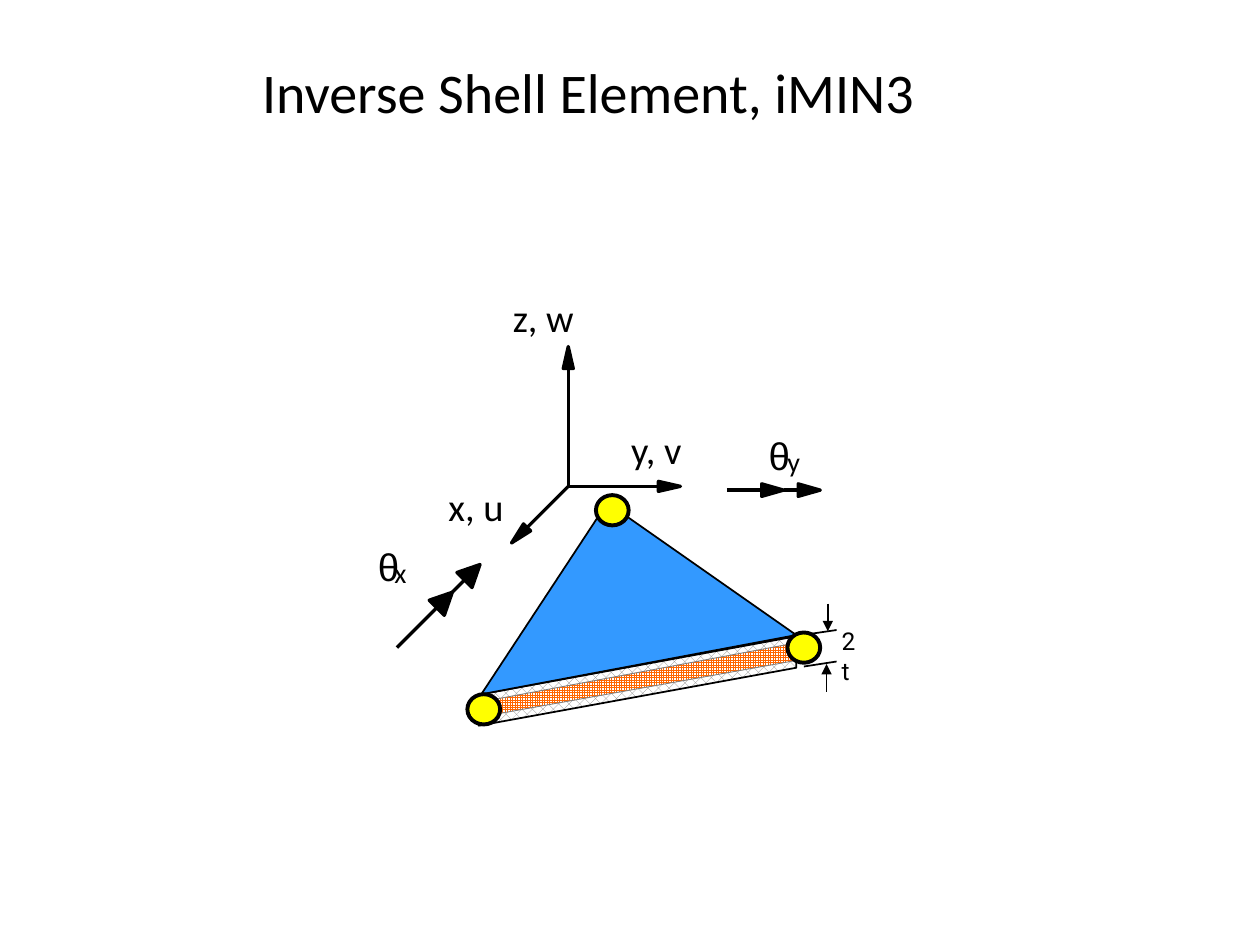
from math import hypot

from lxml import etree
from pptx import Presentation
from pptx.dml.color import RGBColor
from pptx.enum.dml import MSO_PATTERN
from pptx.enum.shapes import MSO_CONNECTOR, MSO_SHAPE
from pptx.enum.text import MSO_ANCHOR, PP_ALIGN
from pptx.oxml.ns import qn
from pptx.util import Inches, Pt

STRAIGHT = MSO_CONNECTOR.STRAIGHT
ELLIPSE = MSO_SHAPE.OVAL
PERCENT_40 = MSO_PATTERN.ERCENT_40
SMALL_GRID = MSO_PATTERN.SMALL_GRID
TOP, MIDDLE = MSO_ANCHOR.TOP, MSO_ANCHOR.MIDDLE
LEFT, CENTER = PP_ALIGN.LEFT, PP_ALIGN.CENTER

COLUMNS, ROWS = 100, 75
BLACK, WHITE, GRAY = "000000", "FFFFFF", "808080"
BLUE, ORANGE, YELLOW = "3399FF", "FF6600", "FFFF00"
THIN, AXIS, NODE = 1, 1.88, 2.25


def color(value):
    return RGBColor.from_string(value)


class Diagram:
    def __init__(self, presentation):
        self.slide = presentation.slides.add_slide(presentation.slide_layouts[6])
        self.column = presentation.slide_width / COLUMNS
        self.row = presentation.slide_height / ROWS

    def place(self, x, y):
        return round(x * self.column), round(y * self.row)

    def outline(self, shape, width, line=BLACK):
        shape.shadow.inherit = False
        shape.line.color.rgb = color(line)
        shape.line.width = Pt(width)

    def polygon(self, points, fill, width=THIN, line=BLACK, pattern=None):
        first, *others = [self.place(*point) for point in points]
        builder = self.slide.shapes.build_freeform(*first)
        builder.add_line_segments(others, close=True)
        shape = builder.convert_to_shape()
        if pattern is None:
            shape.fill.solid()
        else:
            shape.fill.patterned()
            shape.fill.pattern = pattern
            shape.fill.back_color.rgb = color(WHITE)
        shape.fill.fore_color.rgb = color(fill)
        self.outline(shape, width, line)

    def line(self, start, end, width=THIN, arrowhead=False):
        connector = self.slide.shapes.add_connector(
            STRAIGHT, *self.place(*start), *self.place(*end))
        connector.line.color.rgb = color(BLACK)
        connector.line.width = Pt(width)
        properties = connector._element.spPr
        if arrowhead:
            etree.SubElement(properties.find(qn("a:ln")), qn("a:tailEnd"), type="triangle")
        etree.SubElement(properties, qn("a:effectLst"))

    def arrow(self, start, tip, half_width=0.5):
        across, down = tip[0] - start[0], tip[1] - start[1]
        length = hypot(across, down)
        across, down = across / length, down / length
        base = tip[0] - 1.75 * across, tip[1] - 1.75 * down
        corners = [(base[0] + side * down, base[1] - side * across)
                   for side in (half_width, -half_width)]
        self.line(start, base, AXIS)
        self.polygon([tip, *corners], BLACK, AXIS)

    def node(self, x, y):
        shape = self.slide.shapes.add_shape(
            ELLIPSE, *self.place(x - 1.3, y - 1.2), *self.place(2.6, 2.4))
        shape.fill.solid()
        shape.fill.fore_color.rgb = color(YELLOW)
        self.outline(shape, NODE)

    def text(self, words, box, size, font="Calibri", align=LEFT, anchor=TOP, wrap=False):
        left, top, width, height = box
        shape = self.slide.shapes.add_textbox(
            *self.place(left, top), *self.place(width, height))
        frame = shape.text_frame
        frame.margin_left = frame.margin_right = 0
        frame.margin_top = frame.margin_bottom = 0
        frame.word_wrap = wrap
        frame.vertical_anchor = anchor
        paragraph = frame.paragraphs[0]
        paragraph.text = words
        paragraph.alignment = align
        paragraph.font.name = font
        paragraph.font.size = Pt(size)
        paragraph.font.color.rgb = color(BLACK)

    def rotation(self, axis, left, top, subscript_offset):
        self.text("θ", (left, top, 1.6, 3.7), 22, "Arial")
        self.text(axis, (left + subscript_offset, top + 1, 1, 2.7), 16)


def main():
    presentation = Presentation()
    presentation.slide_width = Inches(10)
    presentation.slide_height = Inches(7.5)
    diagram = Diagram(presentation)

    diagram.text("Inverse Shell Element, iMIN3", (9.2, -0.8, 75, 16.1), 32,
                 align=CENTER, anchor=MIDDLE, wrap=True)

    diagram.polygon([(38.2, 55.1), (63.2, 50.5), (63.2, 53), (38, 57.6)],
                    GRAY, pattern=PERCENT_40)
    diagram.polygon([(38.2, 55.7), (63.3, 51), (63.3, 52.4), (38.1, 56.9)],
                    ORANGE, 0.5, GRAY, SMALL_GRID)
    diagram.polygon([(48.2, 39.9), (38.2, 55.1), (63.2, 50.4)], BLUE)

    diagram.line((63.7, 50.4), (66.4, 50))
    diagram.line((63.8, 52.9), (66.4, 52.5))
    diagram.line((65.6, 54.9), (65.6, 52.7), arrowhead=True)
    diagram.line((65.7, 47.9), (65.7, 50.1), arrowhead=True)
    diagram.text("2t", (66.8, 49.7, 1.6, 4.8), 14, "Roboto", wrap=True)

    axes_origin = (45.1, 38.6)
    for tip in ((54, 38.6), (45.1, 27.5), (40.6, 43.1)):
        diagram.arrow(axes_origin, tip, 0.4)
    for label, box in (("z, w", (40.7, 23.3, 4.9, 3.7)),
                       ("y, v", (50.1, 33.8, 4, 3.7)),
                       ("x, u", (35.6, 38.3, 4.4, 3.7))):
        diagram.text(label, box, 22)

    for start, middle, end, half_width in (
            ((57.7, 38.9), (62.2, 38.9), (65.1, 38.9), 0.5),
            ((31.5, 51.4), (35.9, 47), (38.1, 44.8), 0.85)):
        diagram.arrow(start, middle, half_width)
        diagram.arrow(middle, end, half_width)
    diagram.rotation("y", 61, 34.3, 1.5)
    diagram.rotation("x", 30, 43.1, 1.3)

    for center in ((48.6, 40.5), (38.4, 56.3), (63.8, 51.4)):
        diagram.node(*center)

    presentation.save("out.pptx")


if __name__ == "__main__":
    main()
